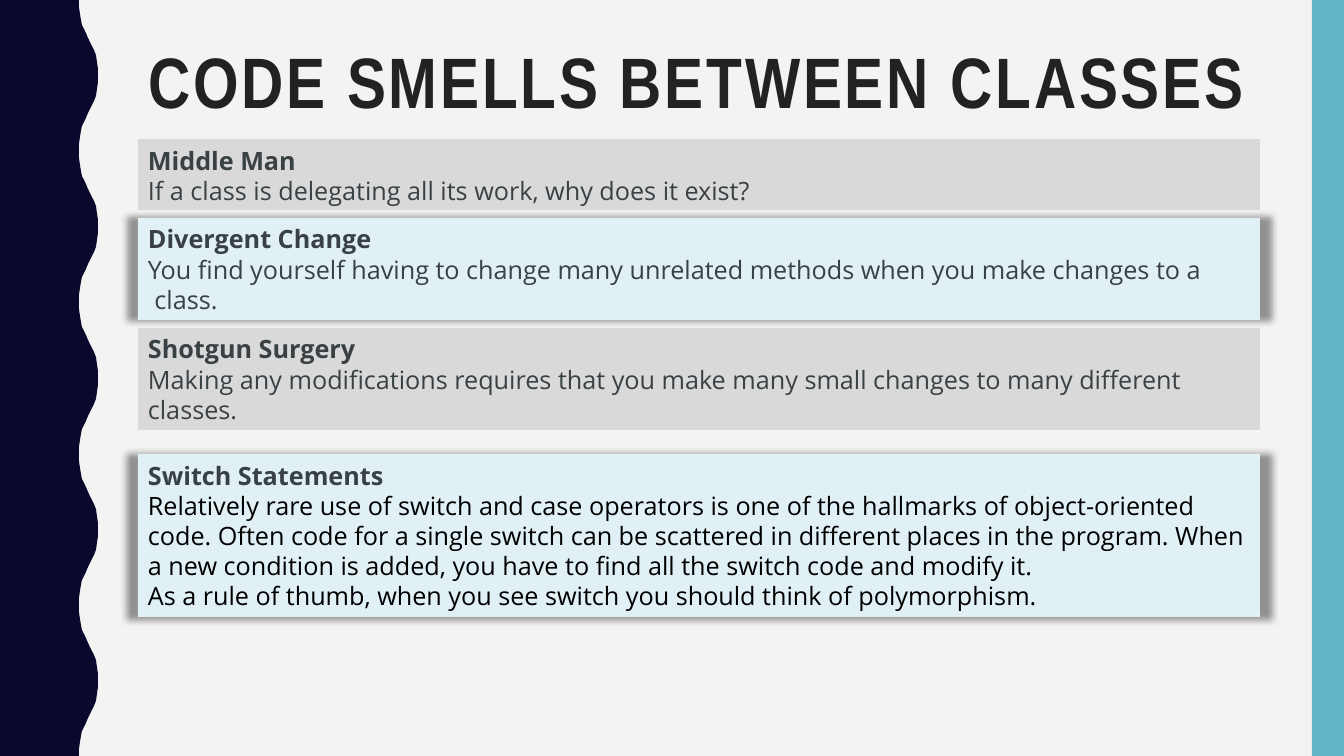
from lxml.etree import SubElement
from pptx import Presentation
from pptx.dml.color import RGBColor
from pptx.enum.shapes import MSO_SHAPE
from pptx.enum.text import MSO_ANCHOR, MSO_AUTO_SIZE, PP_ALIGN
from pptx.oxml.ns import qn
from pptx.util import Pt

PX = 12192000 / 1344
WIDTH, HEIGHT = 1344, 756
LEFT, CARD_WIDTH = 138, 1122


def px(*lengths):
    return [round(length * PX) for length in lengths]


def paint(shape, color):
    shape.shadow.inherit = False
    shape.fill.solid()
    shape.fill.fore_color.rgb = RGBColor.from_string(color)
    shape.line.fill.background()


presentation = Presentation()
presentation.slide_width, presentation.slide_height = px(WIDTH, HEIGHT)
slide = presentation.slides.add_slide(presentation.slide_layouts[5])
slide.background.fill.solid()
slide.background.fill.fore_color.rgb = RGBColor.from_string("F3F3F2")

# Wavy left edge: one half wave, mirrored and repeated five times
rise = [(79, 0), (79, 7), (80, 14), (81, 20), (82, 25), (84, 29), (86, 33),
        (88, 38), (90, 42), (92, 46), (94, 50), (96, 55), (97, 62), (98, 69)]
period = HEIGHT / 5
crest = [(98, period / 2)]
fall = [(x, period - y) for x, y in reversed(rise)]
edge = [(x, round(y + wave * period))
        for wave in range(5) for x, y in rise + crest + fall]
outline = slide.shapes.build_freeform(0, 0, scale=PX)
outline.add_line_segments(edge + [(0, HEIGHT)], close=True)
paint(outline.convert_to_shape(), "0B082E")

# Right band
band = slide.shapes.add_shape(MSO_SHAPE.RECTANGLE, *px(1312, 0, 32, HEIGHT))
paint(band, "62B4C6")

# Title
title = slide.shapes.title
title.left, title.top, title.width, title.height = px(LEFT, 42, CARD_WIDTH, 164)
heading = title.text_frame
heading.text = "CODE SMELLS BETWEEN CLASSES"
heading.auto_size = MSO_AUTO_SIZE.NONE
heading.vertical_anchor = MSO_ANCHOR.TOP
heading.paragraphs[0].alignment = PP_ALIGN.LEFT
heading.paragraphs[0].line_spacing = 0.9
heading_run = heading.paragraphs[0].runs[0]
heading_run.font.name = "Arial Narrow"
heading_run.font.size = Pt(51)
heading_run.font.bold = True
heading_run.font.color.rgb = RGBColor.from_string("222222")
heading_run.font._element.set("spc", "200")

# Code smells: top, height, raised card, description colour, lines
smells = [
    (139, 71, False, "3A4145", [
        "Middle Man",
        "If a class is delegating all its work, why does it exist?"]),
    (218, 102, True, "3A4145", [
        "Divergent Change",
        "You find yourself having to change many unrelated methods when you make changes to a",
        " class."]),
    (328, 102, False, "3A4145", [
        "Shotgun Surgery",
        "Making any modifications requires that you make many small changes to many different classes."]),
    (454, 163, True, "000000", [
        "Switch Statements",
        "Relatively rare use of switch and case operators is one of the hallmarks of "
        "object-oriented code. Often code for a single switch can be scattered in different "
        "places in the program. When a new condition is added, you have to find all the "
        "switch code and modify it.",
        "As a rule of thumb, when you see switch you should think of polymorphism."]),
]
for top, height, raised, description_color, lines in smells:
    card = slide.shapes.add_shape(MSO_SHAPE.RECTANGLE,
                                  *px(LEFT, top, CARD_WIDTH, height))
    paint(card, "E0F0F4" if raised else "D9D9D9")
    if raised:
        # Soft shadow, slightly wider than the card
        effects = card._element.spPr.find(qn("a:effectLst"))
        shadow = SubElement(effects, qn("a:outerShdw"), blurRad=str(Pt(5)),
                            sx="102000", sy="102000", algn="ctr", rotWithShape="0")
        shade = SubElement(shadow, qn("a:prstClr"), val="black")
        SubElement(shade, qn("a:alpha"), val="40000")

    frame = card.text_frame
    frame.word_wrap = True
    frame.vertical_anchor = MSO_ANCHOR.TOP
    frame.margin_top, frame.margin_bottom = px(6, 4)
    frame.text = "\n".join(lines)
    for index, paragraph in enumerate(frame.paragraphs):
        paragraph.alignment = PP_ALIGN.LEFT
        paragraph.line_spacing = Pt(21.5)
        font = paragraph.runs[0].font
        font.name = "Open Sans"
        font.size = Pt(18)
        font.bold = index == 0
        font.color.rgb = RGBColor.from_string(
            "3A4145" if index == 0 else description_color)

presentation.save("out.pptx")
